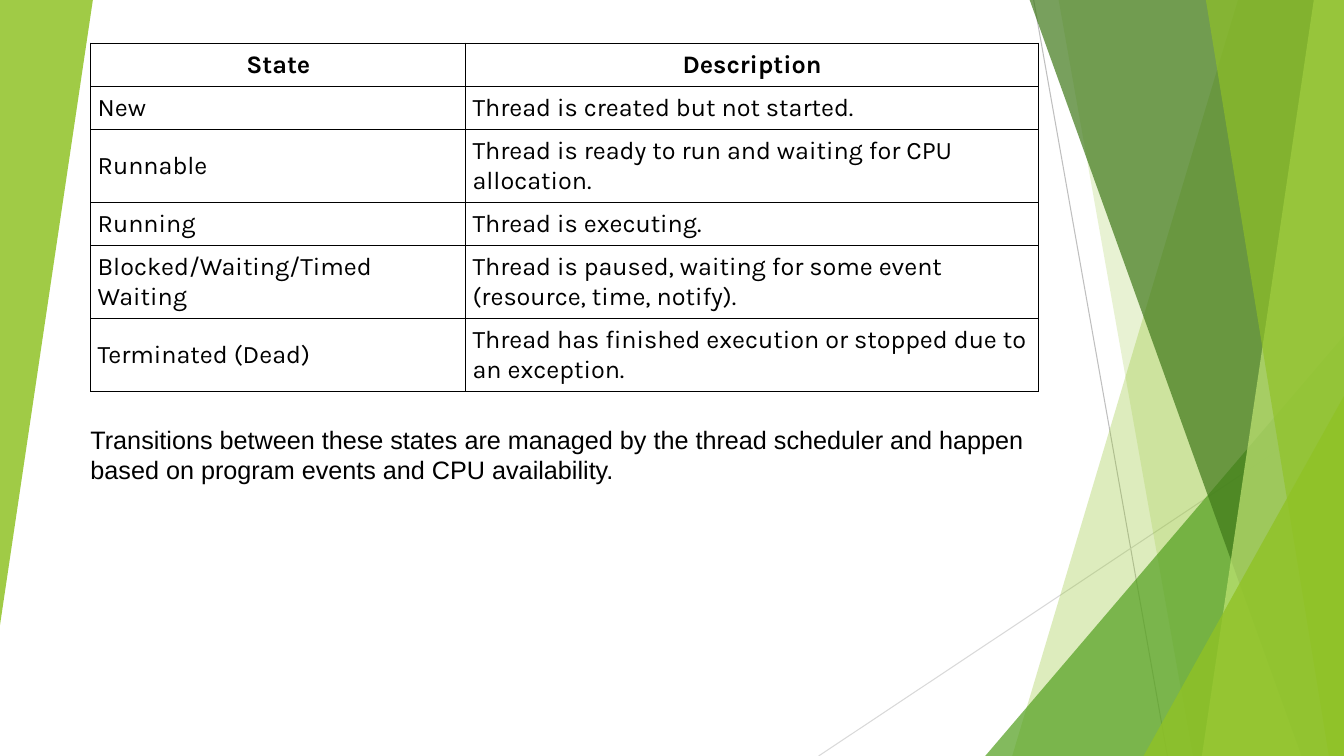
from lxml.etree import SubElement
from pptx import Presentation
from pptx.dml.color import RGBColor
from pptx.enum.shapes import MSO_CONNECTOR, MSO_SHAPE
from pptx.enum.text import MSO_ANCHOR, PP_ALIGN
from pptx.oxml.ns import qn
from pptx.util import Cm, Pt

BLACK = RGBColor(0x00, 0x00, 0x00)
LIME = RGBColor(0x90, 0xC2, 0x26)
GREEN = RGBColor(0x54, 0xA0, 0x21)
DARK = RGBColor(0x3F, 0x78, 0x19)
PALE = RGBColor(0xC0, 0xE4, 0x74)
GREY = RGBColor(0xBF, 0xBF, 0xBF)
LIGHT = RGBColor(0xD9, 0xD9, 0xD9)

WIDE, HIGH = 33.87, 19.05

STATES = [
    ("State", "Description", 1.08),
    ("New", "Thread is created but not started.", 1.08),
    ("Runnable", "Thread is ready to run and waiting for CPU allocation.", 1.84),
    ("Running", "Thread is executing.", 1.08),
    ("Blocked/Waiting/Timed Waiting",
     "Thread is paused, waiting for some event (resource, time, notify).", 1.84),
    ("Terminated (Dead)",
     "Thread has finished execution or stopped due to an exception.", 1.84),
]
NOTE = ("Transitions between these states are managed by the thread scheduler "
        "and happen based on program events and CPU availability.")


def paint(shape, color, alpha):
    """Fill a shape with a see-through colour; alpha is in percent."""
    shape.shadow.inherit = False
    shape.line.fill.background()
    shape.fill.solid()
    shape.fill.fore_color.rgb = color
    tone = shape.element.spPr.find(qn("a:solidFill"))[0]
    SubElement(tone, qn("a:alpha"), val=str(alpha * 1000))


def add_line(slide, start, end, color):
    line = slide.shapes.add_connector(
        MSO_CONNECTOR.STRAIGHT, *[Cm(v) for v in start + end])
    line.line.color.rgb = color
    line.line.width = Pt(0.75)
    SubElement(line.element.spPr, qn("a:effectLst"))


def add_wedge(slide, box, color, alpha, turn=0):
    wedge = slide.shapes.add_shape(
        MSO_SHAPE.ISOSCELES_TRIANGLE, *[Cm(v) for v in box])
    wedge.adjustments[0] = 1
    wedge.rotation = turn
    paint(wedge, color, alpha)


def add_panel(slide, box, top, base, color, alpha):
    """Band along the right side; top and base are its widths there."""
    left, y, wide, high = box
    right, foot = left + wide, y + high
    spots = [(right - top, y), (right, y), (right, foot), (right - base, foot)]
    spots = [(Cm(a), Cm(b)) for a, b in spots]
    form = slide.shapes.build_freeform(*spots[0], scale=1.0)
    form.add_line_segments(spots[1:], close=True)
    paint(form.convert_to_shape(), color, alpha)


def add_facets(slide, box):
    left, top, wide, high = box
    right, foot = left + wide, top + high

    def corner(w, h, color, alpha):
        add_wedge(slide, (right - w, foot - h, w, h), color, alpha)

    # Thin lines behind the panels
    add_line(slide, (right - 7.82, top), (right - 4.45, foot), GREY)
    add_line(slide, (right, top + 10.24), (left, foot), LIGHT)
    # Panels and corner wedges, back to front
    add_panel(slide, box, 2.67, 8.36, LIME, 30)
    add_panel(slide, box, 7.19, 3.81, LIME, 20)
    corner(9.04, 10.59, GREEN, 72)
    add_panel(slide, box, 7.92, 1.07, DARK, 70)
    add_panel(slide, box, 0.76, 3.58, PALE, 70)
    add_panel(slide, box, 3.48, 0.38, LIME, 65)
    corner(5.05, 9.07, LIME, 80)


def add_run(para, text, font, bold=False):
    run = para.add_run()
    run.text = text
    run.font.name = font
    run.font.size = Pt(18)
    run.font.bold = bold
    run.font.color.rgb = BLACK


def add_edges(cell):
    props = cell._tc.get_or_add_tcPr()
    for spot, side in enumerate(("lnL", "lnR", "lnT", "lnB")):
        edge = SubElement(props, qn(f"a:{side}"), w=str(Pt(1)))
        fill = SubElement(edge, qn("a:solidFill"))
        SubElement(fill, qn("a:srgbClr"), val=str(BLACK))
        props.insert(spot, edge)


def add_states(slide, box):
    left, top, wide, high = [Cm(v) for v in box]
    table = slide.shapes.add_table(
        len(STATES), 2, left, top, wide, high).table
    table.first_row = table.horz_banding = False
    table.columns[0].width = Cm(9.45)
    table.columns[1].width = wide - Cm(9.45)
    for r, (*words, tall) in enumerate(STATES):
        table.rows[r].height = Cm(tall)
        for c, text in enumerate(words):
            cell = table.cell(r, c)
            cell.fill.background()
            cell.vertical_anchor = MSO_ANCHOR.MIDDLE
            cell.margin_left = cell.margin_right = Cm(0.17)
            cell.margin_top = cell.margin_bottom = Cm(0.17)
            para = cell.text_frame.paragraphs[0]
            para.alignment = PP_ALIGN.LEFT if r else PP_ALIGN.CENTER
            add_run(para, text, "Karla", r == 0)
            add_edges(cell)


def add_note(slide, box):
    frame = slide.shapes.add_textbox(*[Cm(v) for v in box]).text_frame
    frame.word_wrap = True
    add_run(frame.paragraphs[0], NOTE, "Arial")


def main():
    deck = Presentation()
    deck.slide_width, deck.slide_height = Cm(WIDE), Cm(HIGH)
    slide = deck.slides.add_slide(deck.slide_layouts[6])
    # Backdrop
    add_facets(slide, (20.63, 0, WIDE - 20.63, HIGH))
    add_wedge(slide, (0, 0, 2.34, 15.75), LIME, 85, 180)
    # Content
    add_states(slide, (2.29, 1.09, 23.88, 8.76))
    add_note(slide, (2.03, 10.57, 24.77, 1.8))
    deck.save("out.pptx")


if __name__ == "__main__":
    main()
